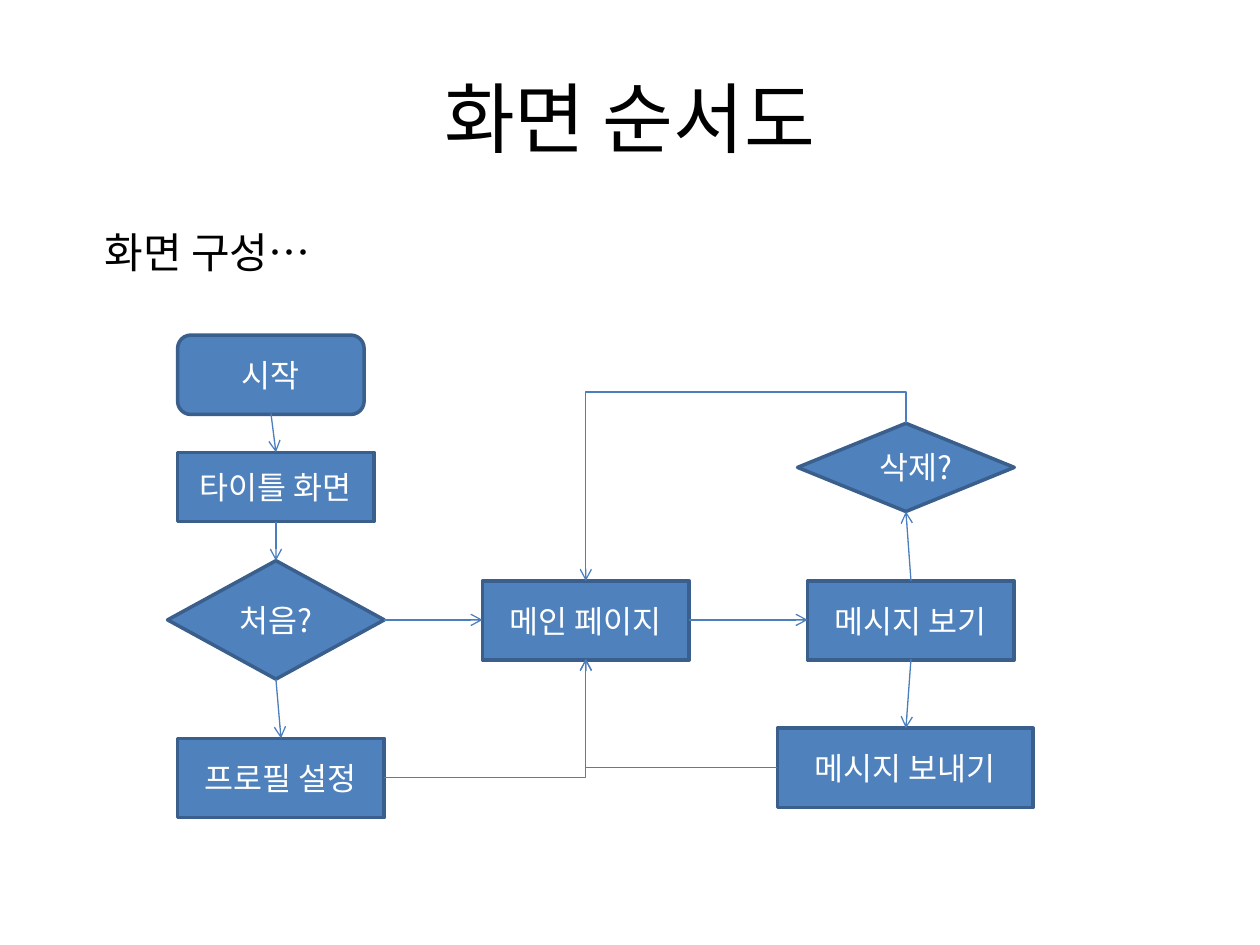
from pptx import Presentation
from pptx.dml.color import RGBColor
from pptx.enum.shapes import MSO_CONNECTOR, MSO_SHAPE
from pptx.enum.text import MSO_ANCHOR, PP_ALIGN
from pptx.oxml.ns import qn
from pptx.util import Inches, Pt
from lxml.etree import SubElement

FONT = "Noto Sans CJK KR"
HUES = {"ink": "000000", "fill": "4F81BD", "edge": "3A5F8C", "link": "4B7EBC", "text": "FFFFFF"}
RECT, DIAMOND = MSO_SHAPE.RECTANGLE, MSO_SHAPE.FLOWCHART_DECISION
ROUND = MSO_SHAPE.FLOWCHART_ALTERNATE_PROCESS

STEPS = [
    ("시작", ROUND, 1.41, 2.66, 1.48, 0.63, {}),
    ("타이틀 화면", RECT, 1.41, 3.59, 1.56, 0.55, {}),
    ("처음?", DIAMOND, 1.33, 4.45, 1.72, 0.94, {}),
    ("메인 페이지", RECT, 3.83, 4.61, 1.64, 0.63, {}),
    ("메시지 보기", RECT, 6.41, 4.61, 1.64, 0.63, {}),
    ("메시지 보내기", RECT, 6.17, 5.78, 2.03, 0.63, {}),
    ("프로필 설정", RECT, 1.41, 5.86, 1.64, 0.63, {}),
    ("삭제?", DIAMOND, 6.33, 3.36, 1.72, 0.7, {"margin_left": Inches(0.18), "margin_right": Inches(0.02)}),
]
LINKS = [
    (2.15, 3.28, 2.19, 3.59),
    (2.19, 4.14, 2.19, 4.45),
    (2.19, 5.39, 2.23, 5.86),
    (3.05, 4.92, 3.83, 4.92),
    (5.47, 4.92, 6.41, 4.92),
    (7.23, 5.23, 7.19, 5.78),
    (7.23, 4.61, 7.19, 4.06),
]
BENDS = [(6.17, 6.09, 4.65, 5.23), (3.05, 6.17, 4.65, 5.23)]


class Chart:
    """Hold the style and the slide, and draw each kind of element."""

    def __init__(self, slide):
        self.slide = slide

    def hue(self, name):
        return RGBColor.from_string(HUES[name])

    def put(self, shape, text, size, color, align, **form):
        frame = shape.text_frame
        for name, value in form.items():
            setattr(frame, name, value)
        para = frame.paragraphs[0]
        para.alignment = align
        run = para.add_run()
        run.text = text
        look = {"name": FONT, "size": Pt(size)}
        for name, value in look.items():
            setattr(run.font, name, value)
        run.font.color.rgb = self.hue(color)
        SubElement(run._r.get_or_add_rPr(), qn("a:ea"), typeface=FONT)
        return para

    def label(self, text, box, size, align, **form):
        shape = self.slide.shapes.add_textbox(*map(Inches, box))
        return self.put(shape, text, size, "ink", align, word_wrap=True, **form)

    def step(self, text, kind, left, top, width, height, form):
        shape = self.slide.shapes.add_shape(kind, *map(Inches, (left, top, width, height)))
        shape.shadow.inherit = False
        shape.fill.solid()
        shape.fill.fore_color.rgb = self.hue("fill")
        shape.line.color.rgb = self.hue("edge")
        shape.line.width = Pt(2)
        base = {"word_wrap": False, "vertical_anchor": MSO_ANCHOR.MIDDLE}
        self.put(shape, text, 18, "text", PP_ALIGN.CENTER, **(base | form))

    def link(self, ends, kind=MSO_CONNECTOR.STRAIGHT):
        line = self.slide.shapes.add_connector(kind, *map(Inches, ends))
        line.line.color.rgb = self.hue("link")
        line.line.width = Pt(0.75)
        props = line._element.spPr
        SubElement(props.find(qn("a:ln")), qn("a:tailEnd"), type="arrow")
        SubElement(props, qn("a:effectLst"))
        return props

    def bend(self, ends):
        props = self.link(ends, MSO_CONNECTOR.ELBOW)
        props.find(qn("a:prstGeom")).set("prst", "bentConnector2")

    def loop(self, ends, ratio):
        x1, y1, x2, y2 = ends
        mid, row = (x1 + x2) / 2, (y1 + y2) / 2
        wide, high = abs(y2 - y1) / 2, abs(x2 - x1) / 2
        props = self.link((mid + wide, row + high, mid - wide, row - high), MSO_CONNECTOR.ELBOW)
        props.find(qn("a:xfrm")).set("rot", str(270 * 60000))
        geom = props.find(qn("a:prstGeom"))
        guides = geom.find(qn("a:avLst"))
        if guides is None:
            guides = SubElement(geom, qn("a:avLst"))
        SubElement(guides, qn("a:gd"), name="adj1", fmla=f"val {round(ratio * 100000)}")


def main():
    deck = Presentation()
    deck.slide_width, deck.slide_height = Inches(10), Inches(7.5)
    chart = Chart(deck.slides.add_slide(deck.slide_layouts[6]))
    chart.label("화면 순서도", (0.5, 0.3, 9, 1.25), 44, PP_ALIGN.CENTER, vertical_anchor=MSO_ANCHOR.MIDDLE)
    body = chart.label("화면 구성…", (0.5, 1.75, 9, 4.95), 24, PP_ALIGN.LEFT, margin_left=Inches(0.33))
    body.space_before = Pt(4)
    for step in STEPS:
        chart.step(*step)
    for ends in LINKS:
        chart.link(ends)
    for ends in BENDS:
        chart.bend(ends)
    chart.loop((7.19, 3.36, 4.65, 4.61), -0.2)
    deck.save("out.pptx")


if __name__ == "__main__":
    main()
